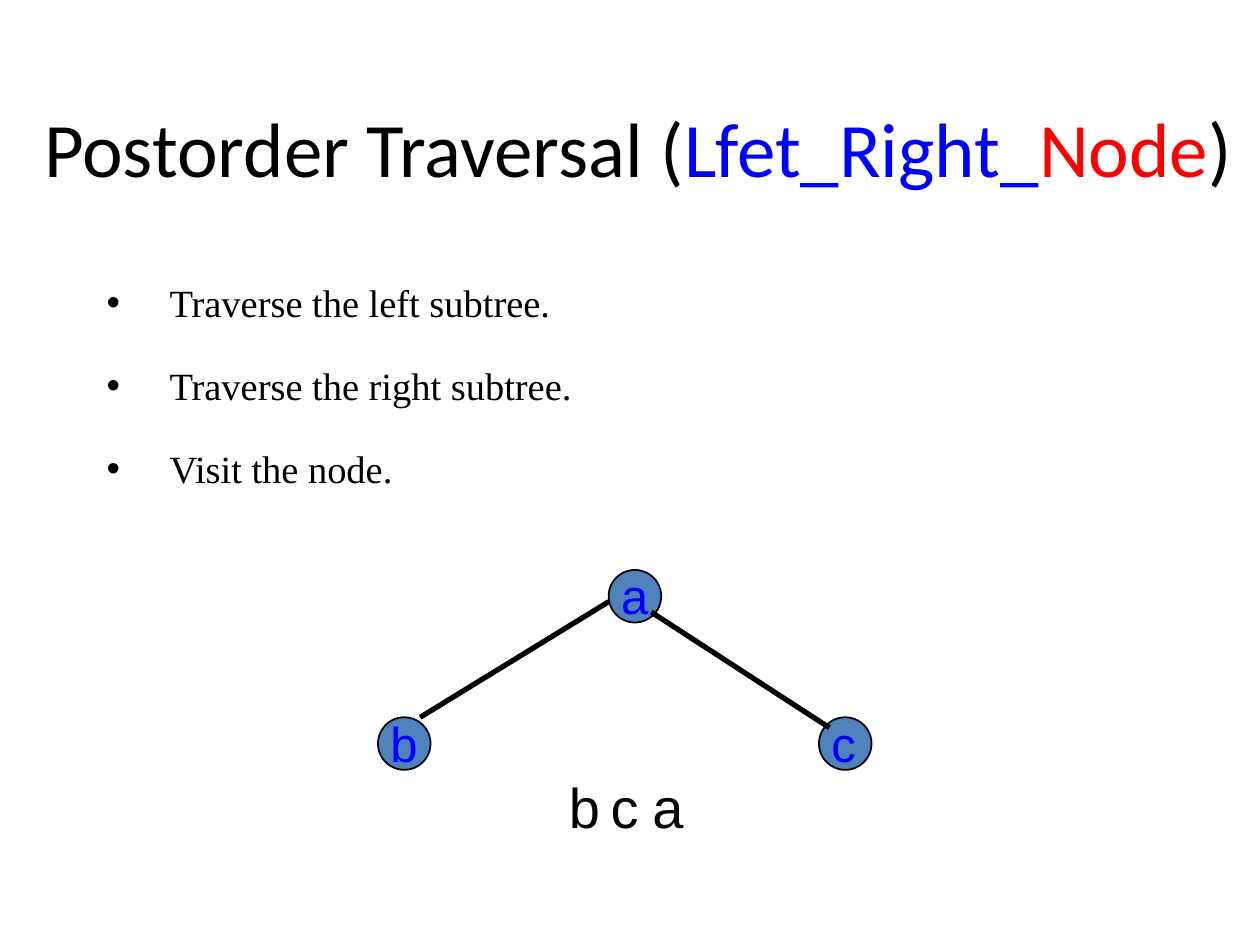
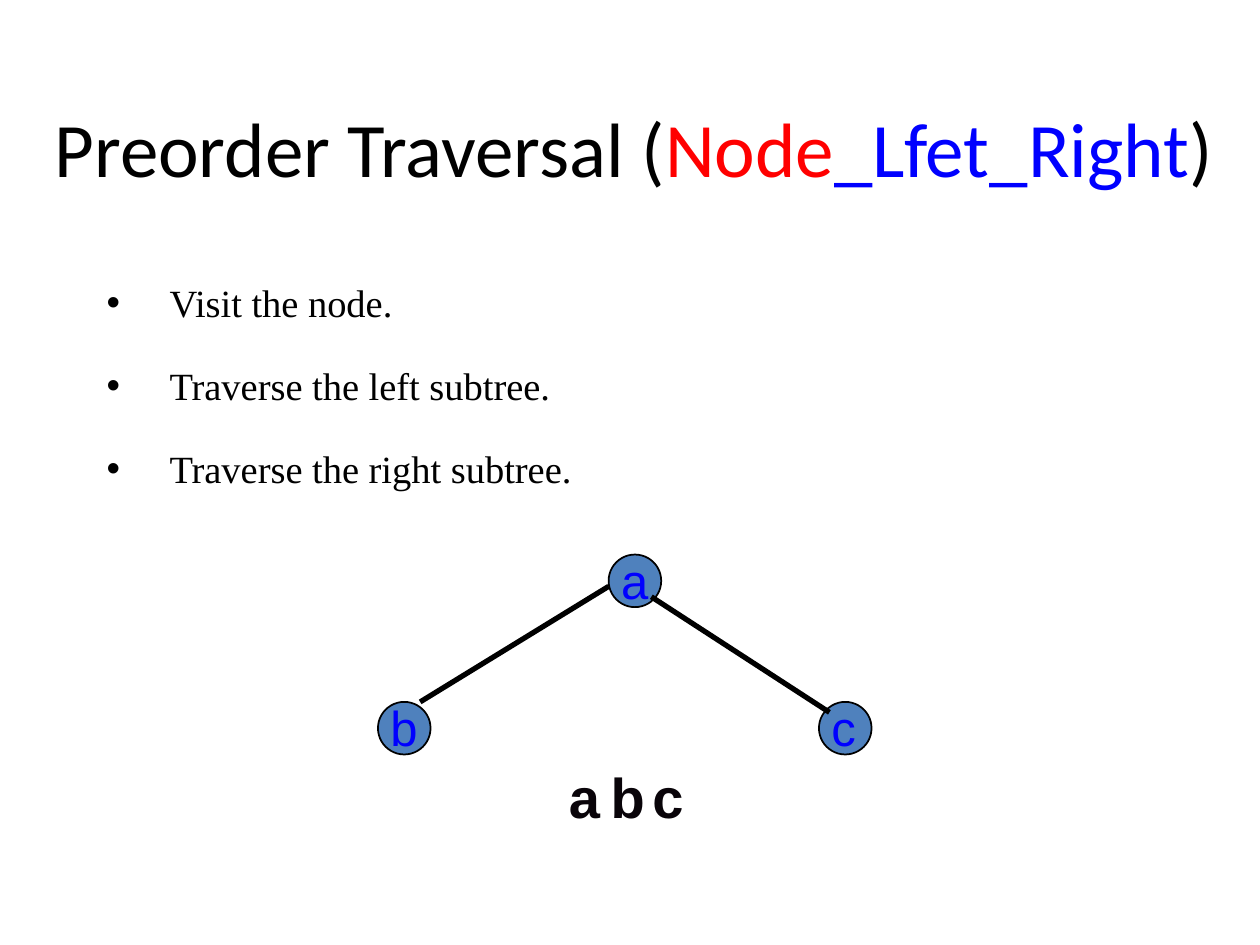
from dataclasses import dataclass

from lxml import etree
from pptx import Presentation
from pptx.dml.color import RGBColor
from pptx.enum.shapes import MSO_CONNECTOR, MSO_SHAPE
from pptx.enum.text import MSO_ANCHOR, PP_ALIGN
from pptx.oxml.ns import qn
from pptx.util import Cm, Pt

STRAIGHT = MSO_CONNECTOR.STRAIGHT
CIRCLE = MSO_SHAPE.OVAL
TOP, MIDDLE = MSO_ANCHOR.TOP, MSO_ANCHOR.MIDDLE
LEFT = PP_ALIGN.LEFT


@dataclass(frozen=True)
class Theme:
    ink: RGBColor = RGBColor(0, 0, 0)
    result_ink: RGBColor = RGBColor(0x09, 0x04, 0x09)
    subtree: RGBColor = RGBColor(0, 0, 0xFF)
    root: RGBColor = RGBColor(0xFF, 0, 0)
    node_fill: RGBColor = RGBColor(0x4F, 0x81, 0xBD)
    outline: int = Pt(1)
    edge: int = Pt(3)
    step_gap: int = Pt(21)


THEME = Theme()
TITLE_FONT = {"name": "Calibri", "size": Pt(44)}
STEP_FONT = {"name": "Times New Roman", "size": Pt(22)}
NODE_FONT = {"name": "Arial", "size": Pt(28)}
RESULT_FONT = {"name": "Arial", "size": Pt(32)}

# Tree geometry in cm, relative to the tree box
NODE_SIZE = 1.06
NODES = {"a": (4.65, 0.21), "b": (0, 3.18), "c": (8.89, 3.18)}
# Parent, offset from the parent, child, offset from the child
EDGES = [
    ("a", (0, 0.64), "b", (0.85, 0)),
    ("a", (0.86, 0.85), "c", (0.21, 0.21)),
]

STEP_LEFT = "Traverse the left subtree."
STEP_RIGHT = "Traverse the right subtree."
STEP_NODE = "Visit the node."

TRAVERSALS = [
    {
        "title": [("Postorder Traversal (", THEME.ink),
                  ("Lfet_Right_", THEME.subtree),
                  ("Node", THEME.root), (")", THEME.ink)],
        "title_left": 0.64,
        "steps": [STEP_LEFT, STEP_RIGHT, STEP_NODE],
        "tree_top": 11.28,
        "visits": "bca", "visits_top": 15.44, "bold": False,
    },
    {
        "title": [("Preorder Traversal (", THEME.ink),
                  ("Node", THEME.root),
                  ("_Lfet_Right", THEME.subtree), (")", THEME.ink)],
        "title_left": 0.85,
        "steps": [STEP_NODE, STEP_LEFT, STEP_RIGHT],
        "tree_top": 10.97,
        "visits": "abc", "visits_top": 15.24, "bold": True,
    },
]


def add_run(paragraph, text, color, font_format):
    run = paragraph.add_run()
    run.text = text
    run.font.color.rgb = color
    for attribute, value in font_format.items():
        setattr(run.font, attribute, value)


def add_frame(shapes, box, anchor=TOP):
    """Add a wrapping text box and return its text frame."""
    frame = shapes.add_textbox(*map(Cm, box)).text_frame
    frame.word_wrap = True
    frame.vertical_anchor = anchor
    return frame


def add_letter(shapes, box, letter, color, font_format):
    paragraph = add_frame(shapes, box).paragraphs[0]
    paragraph.alignment = LEFT
    add_run(paragraph, letter, color, font_format)


def add_title(slide, box, parts):
    paragraph = add_frame(slide.shapes, box, MIDDLE).paragraphs[0]
    paragraph.alignment = LEFT
    for text, color in parts:
        add_run(paragraph, text, color, TITLE_FONT)


def add_steps(slide, box, steps):
    frame = add_frame(slide.shapes, box)
    for index, step in enumerate(steps):
        paragraph = frame.paragraphs[0] if index == 0 else frame.add_paragraph()
        paragraph.space_before = THEME.step_gap
        add_run(paragraph, step, THEME.ink, STEP_FONT)
        # Hanging bullet
        properties = paragraph._p.get_or_add_pPr()
        properties.set("marL", str(Cm(1.27)))
        properties.set("indent", str(-Cm(1.27)))
        etree.SubElement(properties, qn("a:buFont")).set("typeface", "Arial")
        etree.SubElement(properties, qn("a:buChar")).set("char", "•")


def add_tree(slide, left, top):
    tree = slide.shapes.add_group_shape().shapes
    places = {name: (left + x, top + y) for name, (x, y) in NODES.items()}

    # Circles
    for x, y in places.values():
        node = tree.add_shape(CIRCLE, *map(Cm, (x, y, NODE_SIZE, NODE_SIZE)))
        node.shadow.inherit = False
        node.fill.solid()
        node.fill.fore_color.rgb = THEME.node_fill
        node.line.color.rgb = THEME.ink
        node.line.width = THEME.outline

    # Edges
    for parent, start, child, end in EDGES:
        points = [place + offset
                  for name, offsets in ((parent, start), (child, end))
                  for place, offset in zip(places[name], offsets)]
        edge = tree.add_connector(STRAIGHT, *map(Cm, points))
        edge.line.color.rgb = THEME.ink
        edge.line.width = THEME.edge
        etree.SubElement(edge._element.spPr, qn("a:effectLst"))

    # Letters sit slightly above the top of their circles
    for name, (x, y) in places.items():
        add_letter(tree, (x, y - 0.21, 2.11, 1.45), name,
                   THEME.subtree, NODE_FONT)


def add_visits(slide, left, top, visits, bold):
    for index, letter in enumerate(visits):
        add_letter(slide.shapes, (left + 0.84 * index, top, 1.06, 1.62), letter,
                   THEME.result_ink, {**RESULT_FONT, "bold": bold})


def add_traversal_slide(deck, traversal):
    slide = deck.slides.add_slide(deck.slide_layouts[6])
    add_tree(slide, 7.62, traversal["tree_top"])
    add_visits(slide, 11.22, traversal["visits_top"],
               traversal["visits"], traversal["bold"])
    title_left = traversal["title_left"]
    add_title(slide, (title_left, 1.06, 25.4 - title_left, 3.81),
              traversal["title"])
    add_steps(slide, (1.9, 5.5, 21.59, 4.66), traversal["steps"])


def main():
    deck = Presentation()
    deck.slide_width, deck.slide_height = Cm(25.4), Cm(19.05)
    for traversal in TRAVERSALS:
        add_traversal_slide(deck, traversal)
    deck.save("out.pptx")


if __name__ == "__main__":
    main()
